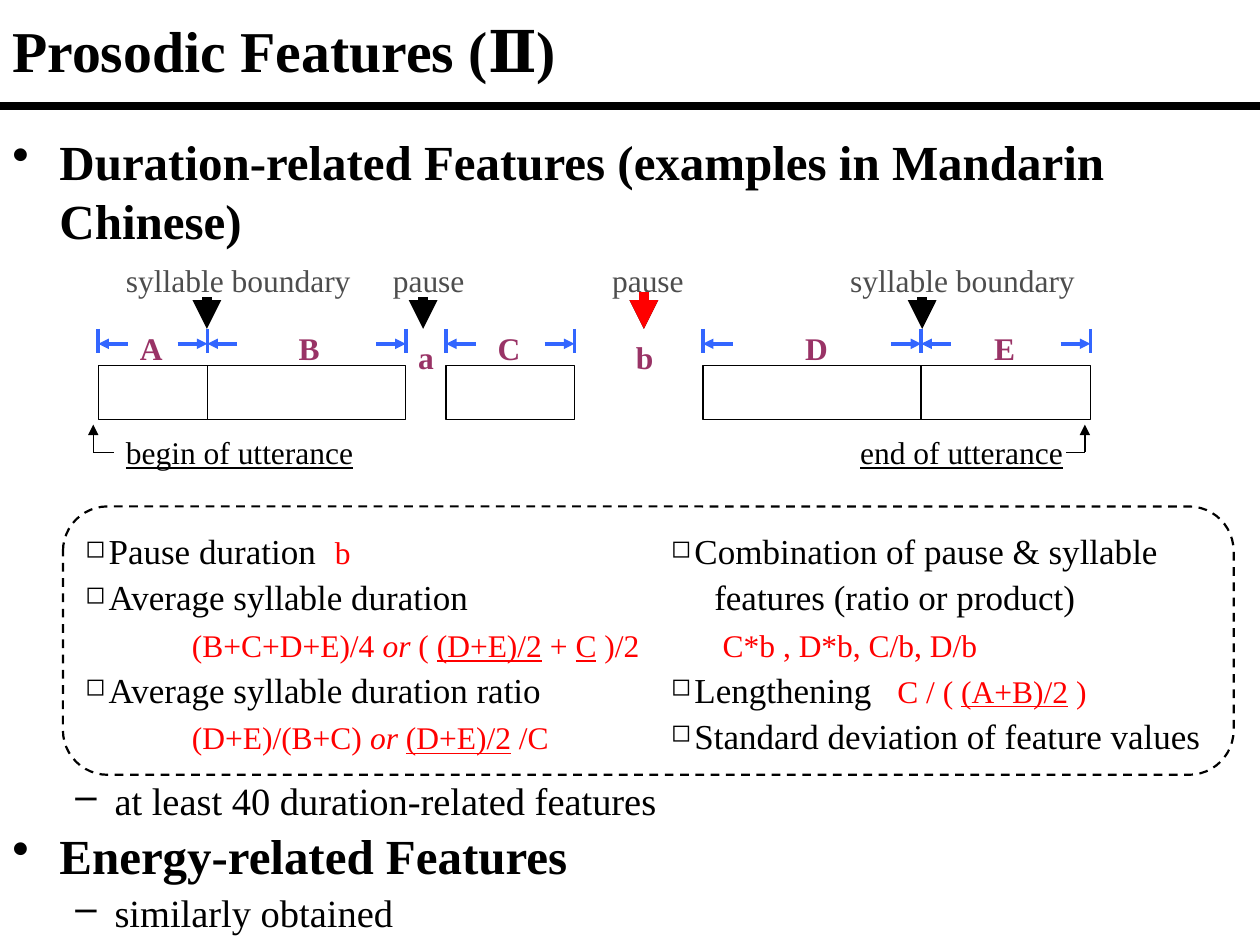
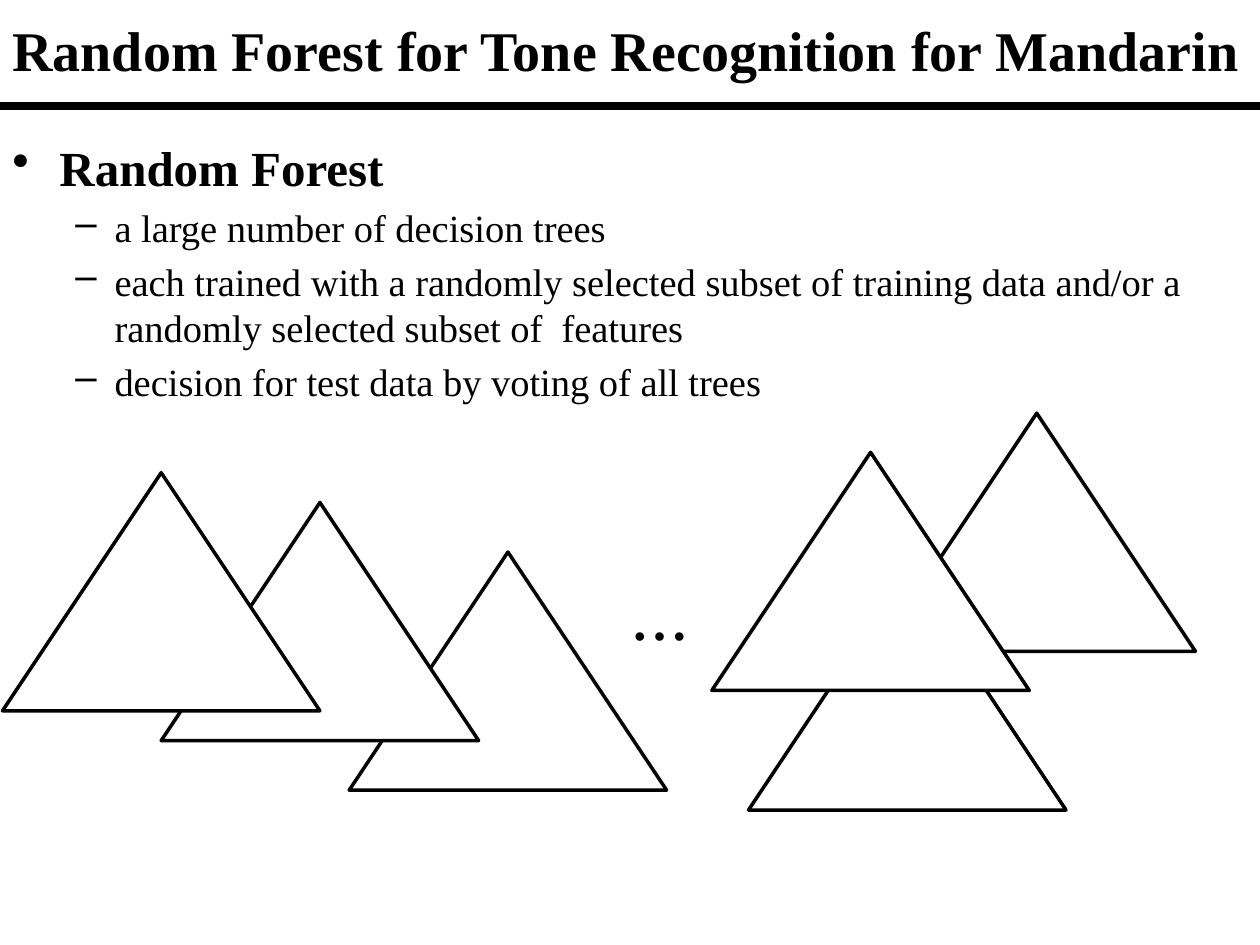
from lxml import etree
from pptx import Presentation
from pptx import util as u
from pptx.dml.color import RGBColor
from pptx.enum import dml, shapes, text
from pptx.oxml.ns import qn

Cm, Pt = u.Cm, u.Pt
BLACK, WHITE, RED = "000000", "FFFFFF", "FF0000"
GREY, PLUM, BLUE = "4D4D4D", "993366", "3366FF"

FONTS = {
    "head": dict(size=28, bold=True),
    "item": dict(size=22),
    "note": dict(size=18, hue=GREY),
    "mark": dict(size=18, bold=True, hue=PLUM),
    "edge": dict(size=18, underline=True),
    "list": dict(size=20),
    "math": dict(size=18, hue=RED),
    "frac": dict(size=18, hue=RED, underline=True),
    "or": dict(size=18, hue=RED, italic=True),
    "dots": dict(size=18, name="Arial"),
}
# Paragraph kinds: left margin and first-line indent in cm, bullet, its size in %
KINDS = {
    "plain": (0, 0, None, 100),
    "head": (0.95, -0.95, "•", 100),
    "item": (2.06, -0.79, "–", 100),
    "list": (0.47, -0.47, "◻", 70),
    "math": (2.15, 0, None, 100),
    "wrap": (0.87, 0, None, 100),
    "deep": (1.04, 0, None, 100),
}


def rgb(hue):
    return RGBColor.from_string(hue)


def put(obj, vals):
    for key, val in vals.items():
        setattr(obj, key, val)


class Deck:
    def __init__(self):
        self.prs = Presentation()
        put(self.prs, dict(slide_width=Cm(25.4), slide_height=Cm(19.05)))
        self.slide = None

    def page(self, title, size):
        self.slide = self.prs.slides.add_slide(self.prs.slide_layouts[6])
        box = self.text(0, 0, 25.4, 2, [("plain", [(title, "head")])])
        box.text_frame.vertical_anchor = text.MSO_ANCHOR.MIDDLE
        box.text_frame.paragraphs[0].runs[0].font.size = Pt(size)
        self.line(0, 2.13, 25.4, 2.13, wide=4.5)

    def text(self, x, y, w, h, paras, pad=0.13, **form):
        """Paras are (kind, runs[, tab in cm[, points before]]); runs are (words, font)."""
        box = self.slide.shapes.add_textbox(Cm(x), Cm(y), Cm(w), Cm(h))
        frame = box.text_frame
        put(frame, dict(word_wrap=True, margin_top=Cm(pad), margin_bottom=Cm(pad)))
        for i, (kind, runs, *rest) in enumerate(paras):
            para = frame.add_paragraph() if i else frame.paragraphs[0]
            tab, gap = (rest + [None, None])[:2]
            self.mark(para, kind, tab)
            if gap is not None:
                para.space_before = Pt(gap)
            put(para, form)
            for words, style in runs:
                self.run(para, words, style)
        return box

    def mark(self, para, kind, tab):
        """Give a paragraph its indents, bullet and tab stop."""
        left, first, sign, size = KINDS[kind]
        props = para._p.get_or_add_pPr()
        props.set("marL", str(Cm(left)))
        props.set("indent", str(Cm(first)))
        if sign:
            etree.SubElement(props, qn("a:buSzPct"), val=str(size * 1000))
            etree.SubElement(props, qn("a:buChar"), char=sign)
        if tab:
            tabs = etree.SubElement(props, qn("a:tabLst"))
            etree.SubElement(tabs, qn("a:tab"), pos=str(Cm(tab)), algn="l")

    def run(self, para, words, style):
        run = para.add_run()
        run.text = words
        vals = dict(name="Times New Roman", hue=BLACK) | FONTS[style]
        run.font.color.rgb = rgb(vals.pop("hue"))
        put(run.font, vals | dict(size=Pt(vals["size"])))

    def label(self, x, y, w, words, style, **form):
        return self.text(x, y, w, 1.02, [("plain", [(words, style)])], **form)

    def line(self, x1, y1, x2, y2, hue=BLACK, wide=0.75, tip=False):
        link = self.slide.shapes.add_connector(
            shapes.MSO_CONNECTOR.STRAIGHT, Cm(x1), Cm(y1), Cm(x2), Cm(y2))
        link.line.color.rgb = rgb(hue)
        link.line.width = Pt(wide)
        if tip:
            etree.SubElement(link.line._get_or_add_ln(), qn("a:tailEnd"), type="triangle")
        etree.SubElement(link._element.spPr, qn("a:effectLst"))

    def shape(self, kind, x, y, w, h, wide, fill=WHITE):
        item = self.slide.shapes.add_shape(
            getattr(shapes.MSO_SHAPE, kind), Cm(x), Cm(y), Cm(w), Cm(h))
        item.shadow.inherit = False
        if fill:
            item.fill.solid()
            item.fill.fore_color.rgb = rgb(fill)
        else:
            item.fill.background()
        item.line.color.rgb = rgb(BLACK)
        item.line.width = Pt(wide)
        return item


def chart(deck):
    """Draw the utterance: syllables A to E, their spans, and the pauses."""
    for x, w, words in ((2.29, 6.2, "syllable boundary"), (7.67, 2.2, "pause"),
                        (12.09, 2.2, "pause"), (16.89, 5.8, "syllable boundary")):
        deck.label(x, 5.13, w, words, "note")
    for x in (4.17, 8.53, 12.98, 18.59):
        deck.line(x, 5.99, x, 6.63, wide=5.5, tip=True)
    deck.line(12.98, 5.89, 12.98, 6.63, RED, 5.5, True)

    spans = {"A": (1.98, 4.18, 2.57), "B": (4.18, 8.18, 5.77), "C": (8.99, 11.58, 9.78),
             "D": (14.17, 18.57, 15.98), "E": (18.57, 21.98, 19.79)}
    for name, (start, end, spot) in spans.items():
        deck.shape("RECTANGLE", start, 7.37, end - start, 1.09, 0.75)
        deck.label(spot, 6.5, 1.4, name, "mark")
        for x, step in ((start, 0.6), (end, -0.6)):
            deck.line(x + step, 6.93, x, 6.93, BLUE, 2, True)
    for x in sorted({x for span in spans.values() for x in span[:2]}):
        deck.line(x, 6.63, x, 7.11, BLUE, 2)
    for x, name in ((8.18, "a"), (12.57, "b")):
        deck.label(x, 6.68, 1.6, name, "mark")

    for x, near, spot, words in ((1.88, 2.29, 2.29, "begin of utterance"),
                                 (21.87, 21.49, 17.09, "end of utterance")):
        deck.label(spot, 8.6, 6.6, words, "edge")
        deck.line(x, 9.12, x, 8.56, tip=True)
        deck.line(x, 9.12, near, 9.12)


def prosody(deck):
    deck.page("Prosodic Features (Ⅱ)", 33)
    deck.text(0, 2.65, 25.4, 2.4, [
        ("head", [("Duration-related Features (examples in Mandarin Chinese)", "head")]),
    ], pad=0)
    chart(deck)

    frame = deck.shape("ROUNDED_RECTANGLE", 1.27, 10.21, 23.6, 5.41, 1.25, fill=None)
    frame.line.dash_style = dml.MSO_LINE.DASH
    left = [
        ("list", [("Pause duration\t", "list"), ("b", "math")], 5.03),
        ("list", [("Average syllable duration", "list")]),
        ("math", [("(B+C+D+E)/4 ", "math"), ("or", "or"), (" ( ", "math"),
                  ("(D+E)/2", "frac"), (" + ", "math"), ("C", "frac"), (" )/2", "math")]),
        ("list", [("Average syllable duration ratio", "list")]),
        ("math", [("(D+E)/(B+C) ", "math"), ("or ", "or"), ("(D+E)/2", "frac"),
                  (" /C", "math")]),
    ]
    right = [
        ("list", [("Combination of pause & syllable", "list")]),
        ("wrap", [("features (ratio or product)", "list")]),
        ("deep", [("C*b , D*b, C/b, D/b", "math")]),
        ("list", [("Lengthening\t", "list"), ("C / ( ", "math"), ("(A+B)/2", "frac"),
                  (" )", "math")], 4.56),
        ("list", [("Standard deviation of feature values", "list")]),
    ]
    for x, w, paras in ((1.47, 12.6, left), (13.28, 12.1, right)):
        deck.text(x, 10.46, w, 4.9, paras, line_spacing=Pt(26.4))

    deck.text(0, 15.67, 25.4, 3.2, [
        ("item", [("at least 40 duration-related features", "item")]),
        ("head", [("Energy-related Features", "head")], None, 1),
        ("item", [("similarly obtained", "item")], None, 3),
    ], pad=0)


def forest(deck):
    deck.page("Random Forest for Tone Recognition for Mandarin", 32)
    items = ("a large number of decision trees",
             "each trained with a randomly selected subset of training data and/or a "
             "randomly selected subset of  features",
             "decision for test data by voting of all trees")
    deck.text(0, 2.77, 25.4, 5.5, [("head", [("Random Forest", "head")])] + [
        ("item", [(words, "item")], None, 4.4) for words in items], pad=0)
    for x, y in ((7.04, 11.13), (3.25, 10.13), (0.05, 9.53),
                 (15.09, 11.53), (17.7, 8.33), (14.35, 9.12)):
        deck.shape("ISOSCELES_TRIANGLE", x, y, 6.4, 4.8, 2)
    deck.label(12.3, 12.29, 2, "• • •", "dots", alignment=text.PP_ALIGN.CENTER)


def main():
    deck = Deck()
    prosody(deck)
    forest(deck)
    deck.prs.save("out.pptx")


if __name__ == "__main__":
    main()
